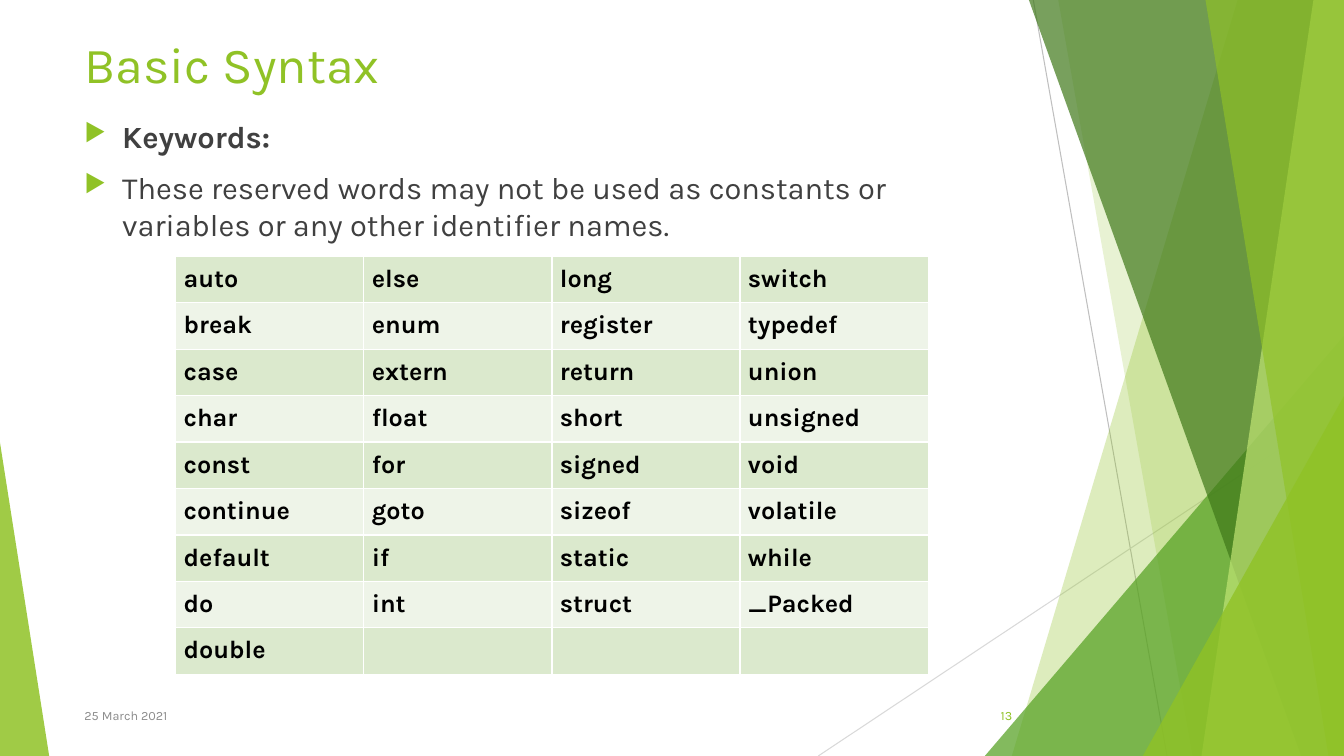
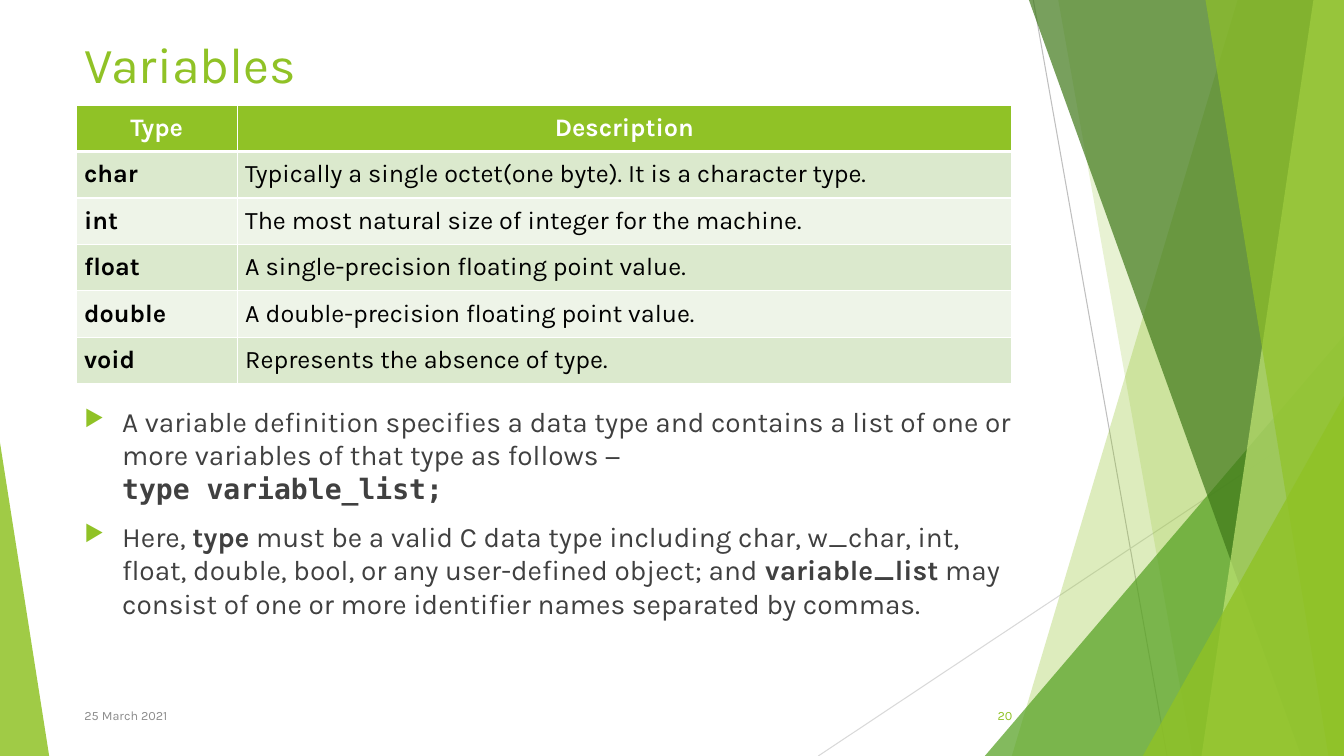
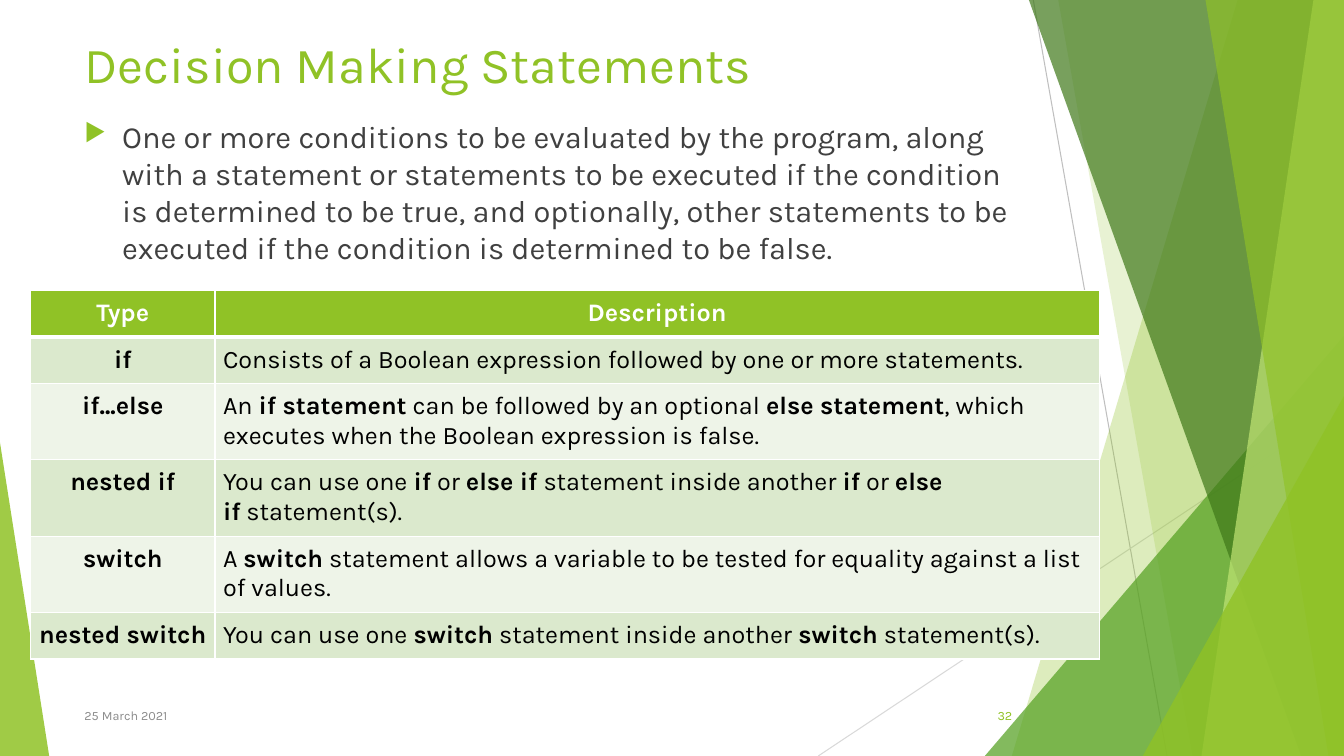
import lxml.etree
import pptx
import pptx.dml.color
import pptx.enum.shapes
import pptx.enum.text
import pptx.oxml.ns
import pptx.util

Cm = pptx.util.Cm
Pt = pptx.util.Pt
qn = pptx.oxml.ns.qn
ALIGN = pptx.enum.text.PP_ALIGN
ANCHOR = pptx.enum.text.MSO_ANCHOR
SHAPE = pptx.enum.shapes.MSO_SHAPE
CONNECTOR = pptx.enum.shapes.MSO_CONNECTOR

WIDTH, HEIGHT = 33.87, 19.05
FONT, CODE_FONT = "Karla", "DejaVu Sans Mono"
GREEN, MID_GREEN, DARK_GREEN, LIME = "90C226", "54A021", "3F7819", "C0E474"
WHITE, BLACK, BODY_GREY, DATE_GREY = "FFFFFF", "000000", "404040", "8C8C8C"
BANDS = "DBE9CD", "EEF4E8"

SLIDE_BOX = (0, 0, WIDTH, HEIGHT)
TITLE_BOX = (1.88, 0.71, 23.88, 1.85)
BODY_BOX = (1.88, 2.84, 23.88, 14.68)
FOOTER_BOX = (1.88, 17.53, 23.88, 1.02)
ROW, TALL_ROW = 1.17, 1.92

RAYS = [((26.04, 0), (29.41, 19.05), "BFBFBF"),
        ((33.87, 10.24), (20.62, 19.05), "D9D9D9")]
PANELS = [("band", (31.19, 25.5), GREEN, 30),
          ("band", (26.67, 30.05), GREEN, 20),
          ("triangle", (24.82, 8.46, 9.05, 1), MID_GREEN, 72),
          ("band", (25.93, 32.79), DARK_GREEN, 70),
          ("band", (33.1, 30.28), LIME, 70),
          ("band", (30.38, 33.48), GREEN, 65),
          ("triangle", (28.8, 9.98, 5.07, 1), GREEN, 80),
          ("triangle", (0, 11.15, 1.24, 0), GREEN, 85)]

KEYWORDS = [
    ["auto", "else", "long", "switch"],
    ["break", "enum", "register", "typedef"],
    ["case", "extern", "return", "union"],
    ["char", "float", "short", "unsigned"],
    ["const", "for", "signed", "void"],
    ["continue", "goto", "sizeof", "volatile"],
    ["default", "if", "static", "while"],
    ["do", "int", "struct", "_Packed"],
    ["double", "", "", ""],
]
TYPES = [
    ["Type", "Description"],
    ["char", "Typically a single octet(one byte). It is a character type."],
    ["int", "The most natural size of integer for the machine."],
    ["float", "A single-precision floating point value."],
    ["double", "A double-precision floating point value."],
    ["void", "Represents the absence of type."],
]
DECISIONS = [
    ["Type", "Description"],
    ["if", "Consists of a Boolean expression followed by one or more statements."],
    ["if...else", "An~**if statement**~can be followed by an optional~**else statement**"
                  ", which executes when the Boolean expression is false."],
    ["nested if", "You can use one~**if**~or~**else if**~statement inside another~**if**"
                  "~or~**else if**~statement(s)."],
    ["switch", "A~**switch**~statement allows a variable to be tested for equality "
               "against a list of values."],
    ["nested switch", "You can use one~**switch**~statement inside another~**switch**"
                      "~statement(s)."],
]


def rgb(value):
    return pptx.dml.color.RGBColor.from_string(value)


def write(p, text, size=18, color=BLACK, bold=False, align=None):
    p.alignment = align
    for i, part in enumerate(text.replace("~", chr(160)).split("**")):
        is_code = part.startswith("`")
        for j, line in enumerate(part.lstrip("`").split("\n")):
            if j:
                p.add_line_break()
            if line:
                r = p.add_run()
                r.text = line
                r.font.name = CODE_FONT if is_code else FONT
                r.font.size = Pt(size)
                r.font.bold = bold or i % 2 == 1
                r.font.color.rgb = rgb(color)


def add_text(s, box, anchor=ANCHOR.TOP):
    tf = s.shapes.add_textbox(*map(Cm, box)).text_frame
    tf.word_wrap = True
    tf.vertical_anchor = anchor
    return tf


def add_bullet(p):
    p.space_before = Pt(10)
    pPr = p._p.get_or_add_pPr()
    pPr.set("marL", str(Cm(0.95)))
    pPr.set("indent", str(Cm(-0.95)))
    color = lxml.etree.SubElement(pPr, qn("a:buClr"))
    lxml.etree.SubElement(color, qn("a:srgbClr"), val=GREEN)
    lxml.etree.SubElement(pPr, qn("a:buSzPct"), val="80000")
    lxml.etree.SubElement(pPr, qn("a:buChar"), char="▶")


def add_body(s, box, texts, size=22):
    tf = add_text(s, box)
    for i, text in enumerate(texts):
        p = tf.add_paragraph() if i else tf.paragraphs[0]
        add_bullet(p)
        write(p, text, size=size, color=BODY_GREY)


def add_band(s, box, top_x, bottom_x):
    x, y, w, h = box
    corners = [(x + top_x, y), (x + w, y), (x + w, y + h), (x + bottom_x, y + h)]
    points = [(Cm(a), Cm(b)) for a, b in corners]
    builder = s.shapes.build_freeform(*points[0])
    builder.add_line_segments(points[1:], close=True)
    return builder.convert_to_shape()


def add_triangle(s, box, left, top, width, apex):
    x, y, w, h = box
    sp = s.shapes.add_shape(SHAPE.ISOSCELES_TRIANGLE, Cm(x + left), Cm(y + top),
                            Cm(width), Cm(h - top))
    sp.adjustments[0] = apex
    return sp


def add_decoration(s, box):
    x, y = box[:2]
    for (x1, y1), (x2, y2), color in RAYS:
        ray = s.shapes.add_connector(CONNECTOR.STRAIGHT, Cm(x + x1), Cm(y + y1),
                                     Cm(x + x2), Cm(y + y2))
        ray.line.color.rgb = rgb(color)
        ray.line.width = Pt(0.75)
        lxml.etree.SubElement(ray.element.spPr, qn("a:effectLst"))
    for kind, geometry, color, opacity in PANELS:
        add = add_band if kind == "band" else add_triangle
        sp = add(s, box, *geometry)
        sp.shadow.inherit = False
        sp.line.fill.background()
        sp.fill.solid()
        sp.fill.fore_color.rgb = rgb(color)
        clr = sp.element.spPr.find(".//" + qn("a:srgbClr"))
        lxml.etree.SubElement(clr, qn("a:alpha"), val=str(opacity * 1000))


def add_footer(s, box, number):
    x, y, w, h = box
    number_w = 1.9
    tf = add_text(s, (x + w - number_w, y, number_w, h), ANCHOR.MIDDLE)
    write(tf.paragraphs[0], str(number), size=9, color=GREEN, align=ALIGN.RIGHT)
    tf = add_text(s, (x, y, 17.5, h), ANCHOR.MIDDLE)
    write(tf.paragraphs[0], "25 March 2021", size=9, color=DATE_GREY)


def set_borders(cell, bottom):
    tcPr = cell._tc.get_or_add_tcPr()
    for i, (side, width) in enumerate([("L", 1), ("R", 1), ("T", 1), ("B", bottom)]):
        ln = lxml.etree.Element(qn("a:ln" + side), w=str(Pt(width)))
        fill = lxml.etree.SubElement(ln, qn("a:solidFill"))
        lxml.etree.SubElement(fill, qn("a:srgbClr"), val=WHITE)
        tcPr.insert(i, ln)


def add_grid(s, left, top, widths, heights, rows, header=True, bold_columns=1,
             first_align=None):
    table = s.shapes.add_table(len(rows), len(widths), Cm(left), Cm(top),
                               Cm(sum(widths)), Cm(sum(heights))).table
    table.first_row = header
    table.horz_banding = False
    for column, width in zip(table.columns, widths):
        column.width = Cm(width)
    for i, (row, height, texts) in enumerate(zip(table.rows, heights, rows)):
        row.height = Cm(height)
        is_header = header and i == 0
        for j, (cell, text) in enumerate(zip(row.cells, texts)):
            cell.margin_left = cell.margin_right = Cm(0.2)
            cell.margin_top = cell.margin_bottom = Cm(0.2)
            cell.fill.solid()
            cell.fill.fore_color.rgb = rgb(GREEN if is_header else BANDS[(i - header) % 2])
            above_header_line = 3 if is_header else 1
            set_borders(cell, above_header_line)
            align = ALIGN.CENTER if is_header else first_align if j == 0 else None
            write(cell.text_frame.paragraphs[0], text, align=align,
                  color=WHITE if is_header else BLACK,
                  bold=is_header or j < bold_columns)


def add_slide(prs, title, number):
    s = prs.slides.add_slide(prs.slide_layouts[6])
    add_decoration(s, SLIDE_BOX)
    write(add_text(s, TITLE_BOX).paragraphs[0], title, size=36, color=GREEN)
    add_footer(s, FOOTER_BOX, number)
    return s


def keywords_slide(prs):
    s = add_slide(prs, "Basic Syntax", 13)
    add_body(s, BODY_BOX, [
        "**Keywords:**",
        "These reserved words may not be used as constants or variables "
        "or any other identifier names.",
    ])
    add_grid(s, 4.43, 6.46, [4.74] * 4, [ROW] * len(KEYWORDS), KEYWORDS,
             header=False, bold_columns=4)


def variables_slide(prs):
    s = add_slide(prs, "Variables", 20)
    add_body(s, (1.88, 10.06, 23.88, 7.47), [
        "A variable definition specifies a data type and contains a list of one or more "
        "variables of that type as follows −\n**`type variable_list;**",
        "Here,~**type**~must be a valid C data type including char, w_char, int, float, "
        "double, bool, or any user-defined object; and~**variable_list**~may consist of "
        "one or more identifier names separated by commas.",
    ], size=20)
    add_grid(s, 1.92, 2.65, [4.06, 19.51], [ROW] * len(TYPES), TYPES)


def decisions_slide(prs):
    s = add_slide(prs, "Decision Making Statements", 32)
    add_body(s, BODY_BOX, [
        "One or more conditions to be evaluated by the program, along with a statement or "
        "statements to be executed if the condition is determined to be true, and "
        "optionally, other statements to be executed if the condition is determined to "
        "be false.",
    ])
    heights = [ROW] * 2 + [TALL_ROW] * 3 + [ROW]
    add_grid(s, 0.77, 7.32, [4.65, 22.28], heights, DECISIONS, first_align=ALIGN.CENTER)


def main():
    prs = pptx.Presentation()
    prs.slide_width, prs.slide_height = Cm(WIDTH), Cm(HEIGHT)
    keywords_slide(prs)
    variables_slide(prs)
    decisions_slide(prs)
    prs.save("out.pptx")


if __name__ == "__main__":
    main()
